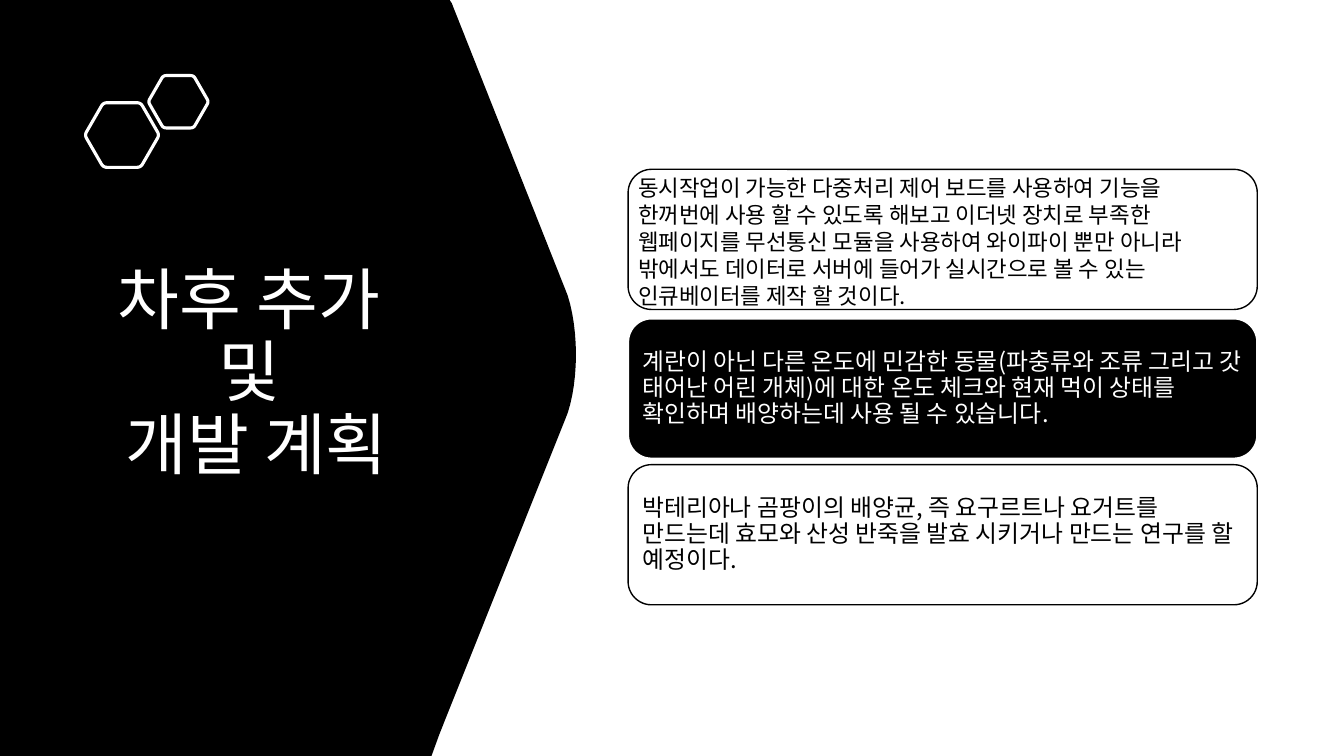
from math import cos, hypot, pi, sin

from pptx import Presentation
from pptx.dml.color import RGBColor
from pptx.enum.shapes import MSO_SHAPE
from pptx.enum.text import MSO_ANCHOR, PP_ALIGN
from pptx.oxml.ns import qn
from pptx.util import Pt

# Content
TITLE = "차후 추가 \v및 \v개발 계획"
PLANS = [
    {"text": "동시작업이 가능한 다중처리 제어 보드를 사용하여 기능을 한꺼번에 사용 할 수 있도록 "
             "해보고 이더넷 장치로 부족한 웹페이지를 무선통신 모듈을 사용하여 와이파이 뿐만 아니라 "
             "밖에서도 데이터로 서버에 들어가 실시간으로 볼 수 있는 인큐베이터를 제작 할 것이다.",
     "top": 168, "fill": "white", "ink": "black", "line_width": 1,
     "pad": 0, "format": {"size": 16, "insets": (10, 5)}},
    {"text": "계란이 아닌 다른 온도에 민감한 동물(파충류와 조류 그리고 갓 태어난 어린 개체)에 대한 "
             "온도 체크와 현재 먹이 상태를 확인하며 배양하는데 사용 될 수 있습니다.",
     "top": 316, "fill": "black", "ink": "white", "line_width": 1.5,
     "pad": 7, "format": {"size": 17, "insets": (7, 7), "anchor": MSO_ANCHOR.MIDDLE, "spacing": 0.9}},
    {"text": "박테리아나 곰팡이의 배양균, 즉 요구르트나 요거트를 만드는데 효모와 산성 반죽을 발효 "
             "시키거나 만드는 연구를 할 예정이다.",
     "top": 461, "fill": "white", "ink": "black", "line_width": 1,
     "pad": 7, "format": {"size": 17, "insets": (7, 7), "anchor": MSO_ANCHOR.MIDDLE, "spacing": 0.9}},
]
HEXAGONS = [((121, 134), 37), ((177, 101), 30)]  # centre, radius
CARD_LEFT, CARD_WIDTH, CARD_HEIGHT = 623, 624, 139

COLORS = {"black": "000000", "white": "FFFFFF"}
FONT = "Noto Sans CJK KR"
EMU_PER_PX = 9144  # 100 px to the inch


def px(value):
    return round(value * EMU_PER_PX)


def color(name):
    return RGBColor.from_string(COLORS[name])


def between(start, end, share):
    return tuple(a + (b - a) * share for a, b in zip(start, end))


def bezier(controls, steps=12):
    """Points along a curve of any degree."""
    points = []
    for step in range(steps + 1):
        level = controls
        while len(level) > 1:
            level = [between(a, b, step / steps) for a, b in zip(level, level[1:])]
        points.append(level[0])
    return points


def rounded_hexagon(center, radius):
    corners = [(center[0] + radius * cos(k * pi / 3), center[1] + radius * sin(k * pi / 3))
               for k in range(6)]
    cut = 0.1
    points = []
    for k, corner in enumerate(corners):
        before, after = corners[k - 1], corners[(k + 1) % 6]
        points += bezier([between(corner, before, cut), corner, between(corner, after, cut)], 6)
    return points


def style(shape, fill=None, line=None, line_width=1):
    shape.shadow.inherit = False
    if fill:
        shape.fill.solid()
        shape.fill.fore_color.rgb = color(fill)
    else:
        shape.fill.background()
    if line:
        shape.line.color.rgb = color(line)
        shape.line.width = Pt(line_width)
    else:
        shape.line.fill.background()


def add_outline(slide, points, **look):
    points = [(px(x), px(y)) for x, y in points]
    builder = slide.shapes.build_freeform(*points[0], scale=1.0)
    builder.add_line_segments(points[1:], close=True)
    style(builder.convert_to_shape(), **look)


def add_text(slide, text, left, top, width, height, size, ink, insets=(10, 5),
             anchor=MSO_ANCHOR.TOP, align=PP_ALIGN.LEFT, spacing=None):
    box = slide.shapes.add_textbox(px(left), px(top), px(width), px(height))
    frame = box.text_frame
    frame.word_wrap = True
    frame.vertical_anchor = anchor
    frame.margin_left = frame.margin_right = px(insets[0])
    frame.margin_top = frame.margin_bottom = px(insets[1])
    paragraph = frame.paragraphs[0]
    paragraph.text = text
    paragraph.alignment = align
    if spacing:
        paragraph.line_spacing = spacing
    for run in paragraph.runs:
        run.font.size = Pt(size)
        run.font.name = FONT
        run.font.color.rgb = color(ink)
        east_asian = run.font._element.makeelement(qn("a:ea"), {"typeface": FONT})
        run.font._element.find(qn("a:latin")).addnext(east_asian)


def main():
    presentation = Presentation()
    presentation.slide_width, presentation.slide_height = px(1333), px(750)
    slide = presentation.slides.add_slide(presentation.slide_layouts[6])

    # Black pointed panel with title and hexagons
    nose = bezier([(563, 293), (574, 327), (574, 377), (563, 410)])
    add_outline(slide, [(0, 0), (446, 0), (448, 3), *nose, (436, 728), (428, 750), (0, 750)],
                fill="black")
    add_text(slide, TITLE, 92, 180, 325, 384, size=48, ink="white",
             anchor=MSO_ANCHOR.MIDDLE, align=PP_ALIGN.CENTER, spacing=0.9)
    for center, radius in HEXAGONS:
        add_outline(slide, rounded_hexagon(center, radius), line="white", line_width=2.25)

    # Plan cards
    for plan in PLANS:
        card = slide.shapes.add_shape(MSO_SHAPE.ROUNDED_RECTANGLE, px(CARD_LEFT), px(plan["top"]),
                                      px(CARD_WIDTH), px(CARD_HEIGHT))
        card.adjustments[0] = 0.167
        style(card, fill=plan["fill"], line=plan["ink"], line_width=plan["line_width"])
        pad = plan["pad"]
        add_text(slide, plan["text"], CARD_LEFT + pad, plan["top"] + pad, CARD_WIDTH - 2 * pad,
                 CARD_HEIGHT - 2 * pad, ink=plan["ink"], **plan["format"])

    presentation.save("out.pptx")


if __name__ == "__main__":
    main()
